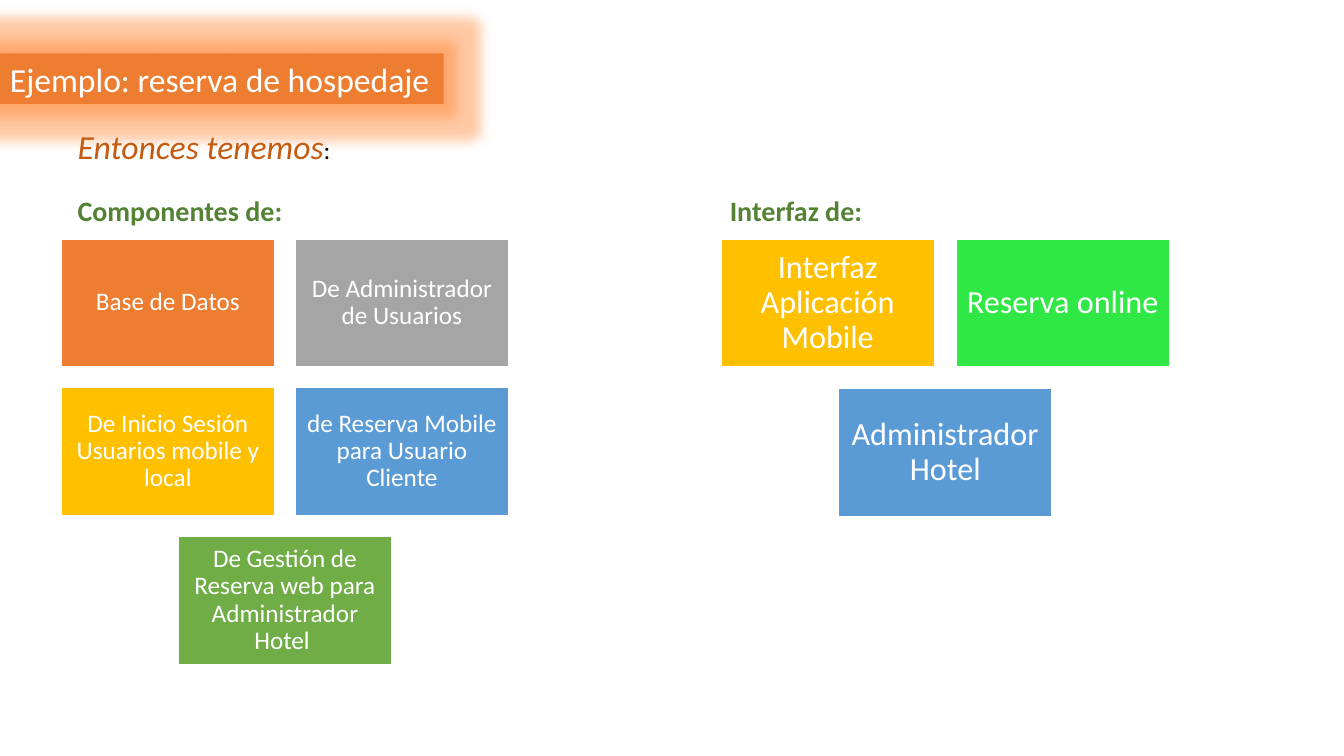
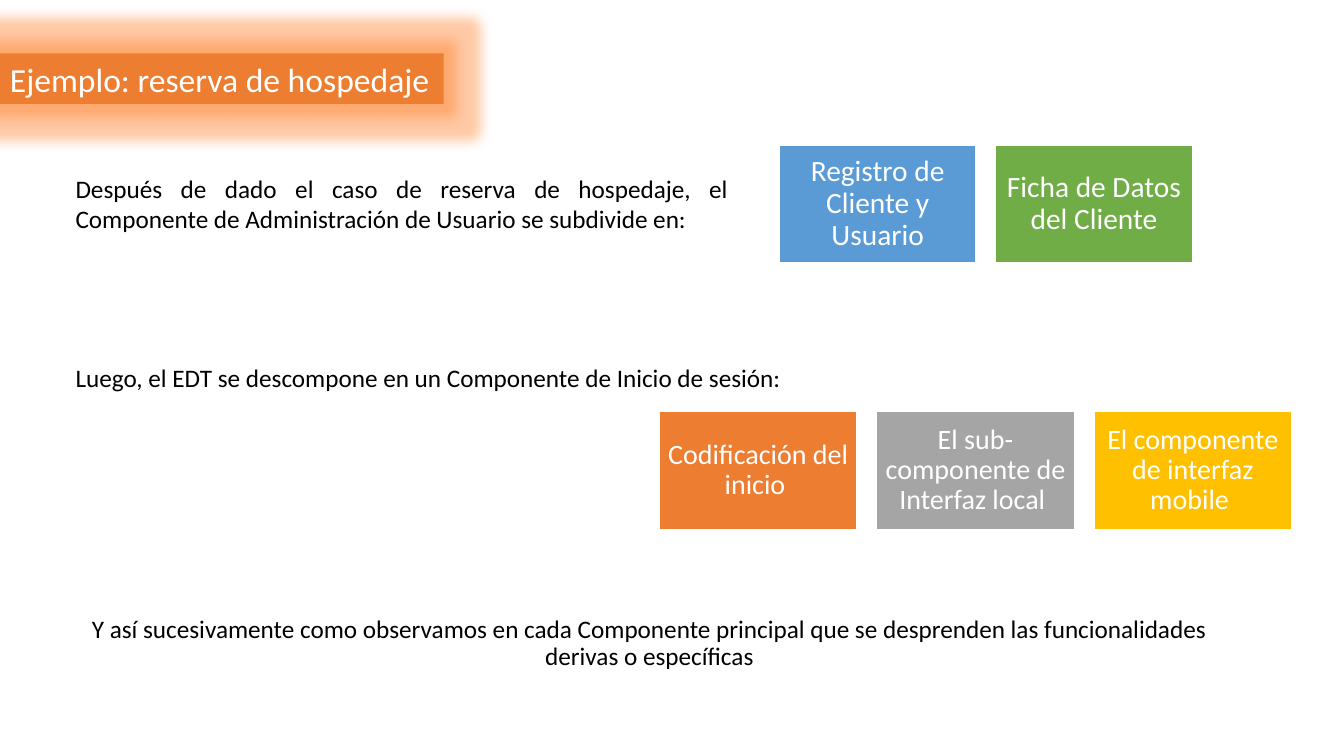
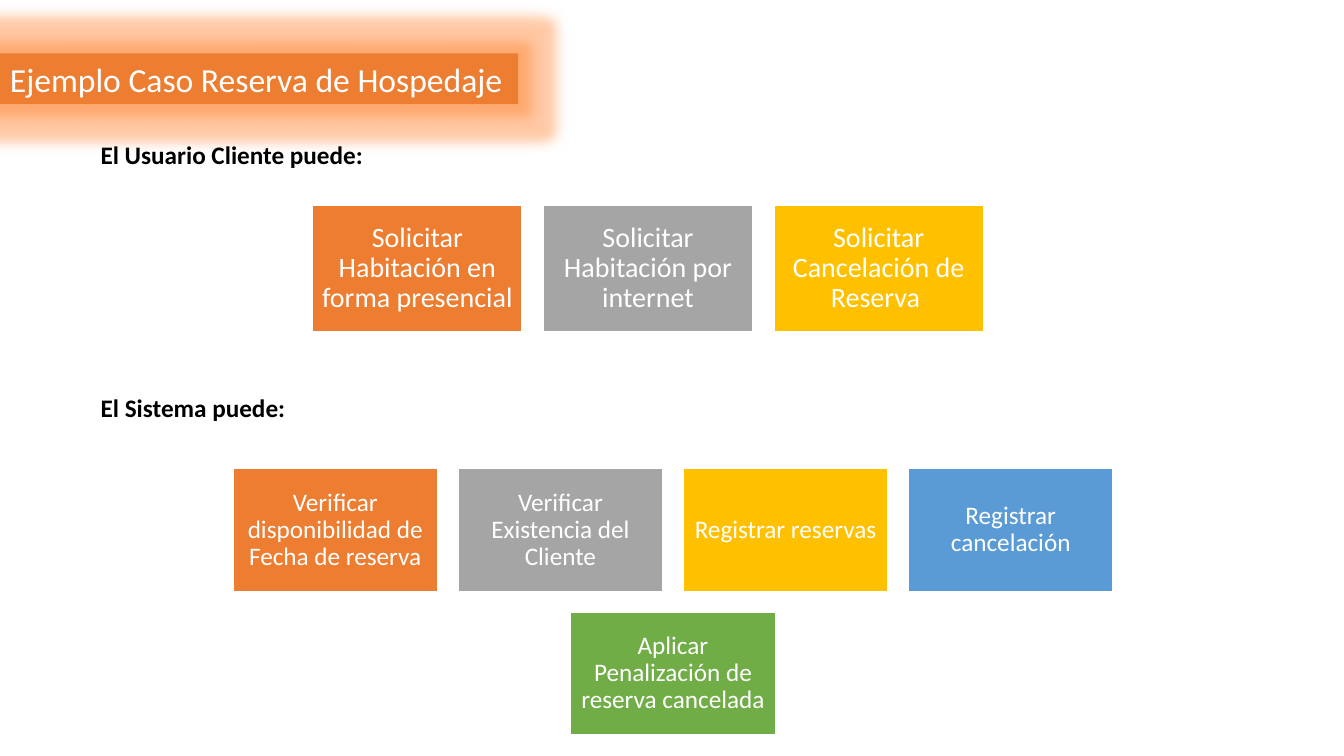
import pptx
import pptx.util
import pptx.dml.color
import pptx.enum.shapes
import pptx.enum.text
import pptx.oxml
import pptx.oxml.ns

RGB = pptx.dml.color.RGBColor
ALIGN = pptx.enum.text.PP_ALIGN
ANCHOR = pptx.enum.text.MSO_ANCHOR
RECT = pptx.enum.shapes.MSO_SHAPE.RECTANGLE
FIT = pptx.enum.text.MSO_AUTO_SIZE.SHAPE_TO_FIT_TEXT
Pt = pptx.util.Pt

WIDTH = pptx.util.Inches(13.33)
HEIGHT = pptx.util.Inches(7.5)
FONT = "Calibri"

WHITE = RGB(0xFF, 0xFF, 0xFF)
BLACK = RGB(0x00, 0x00, 0x00)
ORANGE = RGB(0xED, 0x7D, 0x31)
GRAY = RGB(0xA5, 0xA5, 0xA5)
GOLD = RGB(0xFF, 0xC0, 0x00)
BLUE = RGB(0x5B, 0x9B, 0xD5)
GREEN = RGB(0x70, 0xAD, 0x47)
LIME = RGB(0x30, 0xE8, 0x45)
DARK_ORANGE = RGB(0xC5, 0x5A, 0x11)
DARK_GREEN = RGB(0x54, 0x82, 0x35)

BLOCK_RATIO = 0.6
GAP_RATIO = 0.1
INSET_RATIO = 0.3


def across(percent):
    return round(WIDTH * percent / 100)


def down(percent):
    return round(HEIGHT * percent / 100)


def style(font, size, color, bold=False, italic=False):
    font.name = FONT
    font.size = Pt(size)
    font.color.rgb = color
    font.bold = bold
    font.italic = italic


def add_glow(sp, color):
    effects = sp._element.spPr.find(pptx.oxml.ns.qn("a:effectLst"))
    effects.append(pptx.oxml.parse_xml(
        f'<a:glow {pptx.oxml.ns.nsdecls("a")} rad="{Pt(18)}"><a:srgbClr val="{color}">'
        '<a:satMod val="175000"/><a:alpha val="40000"/></a:srgbClr></a:glow>'))


def add_rect(s, x, y, w, h, fill):
    sp = s.shapes.add_shape(RECT, x, y, w, h)
    sp.shadow.inherit = False
    sp.fill.solid()
    sp.fill.fore_color.rgb = fill
    return sp


def add_title(s, text, width):
    sp = add_rect(s, 0, down(7.07), across(width), down(6.67), ORANGE)
    sp.line.fill.background()
    add_glow(sp, ORANGE)
    tf = sp.text_frame
    tf.word_wrap = False
    tf.auto_size = FIT
    tf.vertical_anchor = ANCHOR.TOP
    p = tf.paragraphs[0]
    p.text = text
    p.alignment = ALIGN.LEFT
    style(p.font, 24, WHITE)


def add_text(s, text, x, y, w, h, size=18, color=BLACK, bold=False,
             italic=False, align=ALIGN.LEFT, wrap=True):
    sp = s.shapes.add_textbox(across(x), down(y), across(w), down(h))
    tf = sp.text_frame
    tf.word_wrap = wrap
    tf.auto_size = FIT
    p = tf.paragraphs[0]
    p.text = text
    p.alignment = align
    style(p.font, size, color, bold, italic)
    return p


def add_block(s, text, fill, x, y, w, size):
    sp = add_rect(s, x, y, w, round(w * BLOCK_RATIO), fill)
    sp.line.color.rgb = WHITE
    sp.line.width = Pt(1)
    tf = sp.text_frame
    tf.word_wrap = True
    tf.vertical_anchor = ANCHOR.MIDDLE
    inset = Pt(size * INSET_RATIO)
    tf.margin_left = tf.margin_right = tf.margin_top = tf.margin_bottom = inset
    p = tf.paragraphs[0]
    p.text = text
    p.alignment = ALIGN.CENTER
    p.line_spacing = 0.9
    style(p.font, size, WHITE)


def add_blocks(s, blocks, columns, x, y, w, size):
    left, top, width = across(x), down(y), across(w)
    step_x = width * (1 + GAP_RATIO)
    step_y = width * (BLOCK_RATIO + GAP_RATIO)
    for i, (text, fill) in enumerate(blocks):
        row, column = divmod(i, columns)
        in_row = min(columns, len(blocks) - row * columns)
        column += (columns - in_row) / 2
        add_block(s, text, fill, round(left + column * step_x),
                  round(top + row * step_y), width, size)


def build_components(s):
    add_title(s, "Ejemplo: reserva de hospedaje", 33.01)
    p = add_text(s, "Entonces tenemos", 5.03, 16, 20.93, 6.67, size=24,
                 color=DARK_ORANGE, italic=True, align=ALIGN.JUSTIFY, wrap=False)
    r = p.add_run()
    r.text = ":"
    style(r.font, 18, BLACK)
    for text, x, w in (("Componentes de:", 5.03, 16.88), ("Interfaz de:", 53.56, 11.48)):
        add_text(s, text, x, 24.93, w, 5.87, size=20, color=DARK_GREEN,
                 bold=True, wrap=False)
    add_blocks(s, [
        ("Base de Datos", ORANGE),
        ("De Administrador de Usuarios", GRAY),
        ("De Inicio Sesión Usuarios mobile y local", GOLD),
        ("de Reserva Mobile para Usuario Cliente", BLUE),
        ("De Gestión de Reserva web para Administrador Hotel ", GREEN),
    ], 2, 4.58, 31.6, 15.83, 18)
    add_blocks(s, [
        ("Interfaz Aplicación Mobile", GOLD),
        ("Reserva online", LIME),
        ("Administrador Hotel", BLUE),
    ], 2, 53.64, 31.6, 15.9, 23)


def build_breakdown(s):
    add_title(s, "Ejemplo: reserva de hospedaje", 33.01)
    add_text(s, "Después de dado el caso de reserva de hospedaje, el Componente de "
             "Administración de Usuario se subdivide en:",
             4.88, 22.27, 50.04, 9.47, align=ALIGN.JUSTIFY)
    add_blocks(s, [
        ("Registro de Cliente y Usuario", BLUE),
        ("Ficha de Datos del Cliente", GREEN),
    ], 2, 57.99, 19.2, 14.63, 21)
    add_text(s, "Luego, el EDT se descompone en un Componente de Inicio de sesión:",
             4.88, 47.33, 54.76, 5.33, align=ALIGN.JUSTIFY)
    add_blocks(s, [
        ("Codificación del inicio ", ORANGE),
        ("El sub-componente de Interfaz local ", GRAY),
        ("El componente de interfaz mobile ", GOLD),
    ], 3, 49.06, 54.4, 14.7, 20)
    p = add_text(s, "Y así sucesivamente como observamos en cada Componente principal "
                 "que se desprenden las funcionalidades derivas o específicas",
                 4.88, 80.93, 86.87, 8.67, align=ALIGN.CENTER)
    p.line_spacing = 0.9


def build_use_cases(s):
    add_title(s, "Ejemplo Caso Reserva de Hospedaje", 38.56)
    add_text(s, "El Usuario Cliente puede:", 6.75, 17.73, 33.08, 5.33, bold=True)
    add_blocks(s, [
        ("Solicitar Habitación en forma presencial", ORANGE),
        ("Solicitar Habitación por internet", GRAY),
        ("Solicitar Cancelación de Reserva ", GOLD),
    ], 3, 23.26, 27.2, 15.6, 20)
    add_text(s, "El Sistema puede:", 6.75, 51.2, 17.93, 5.33, bold=True)
    add_blocks(s, [
        ("Verificar disponibilidad de Fecha de reserva", ORANGE),
        ("Verificar Existencia del Cliente", GRAY),
        ("Registrar reservas", GOLD),
        ("Registrar cancelación", BLUE),
        ("Aplicar Penalización de reserva cancelada", GREEN),
    ], 4, 17.33, 62, 15.23, 18)


def main():
    prs = pptx.Presentation()
    prs.slide_width = WIDTH
    prs.slide_height = HEIGHT
    for build in (build_components, build_breakdown, build_use_cases):
        build(prs.slides.add_slide(prs.slide_layouts[6]))
    prs.save("out.pptx")


if __name__ == "__main__":
    main()
